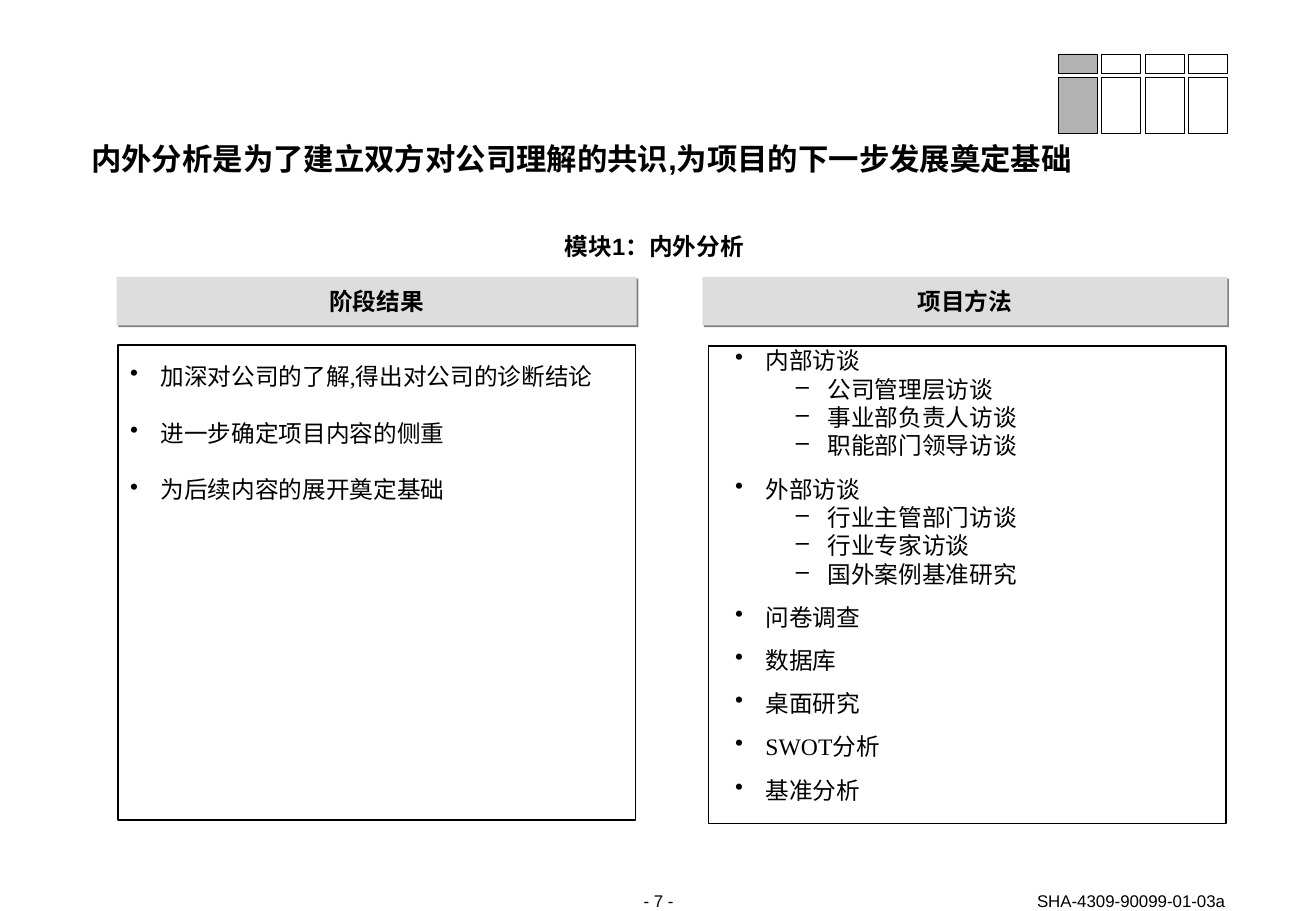
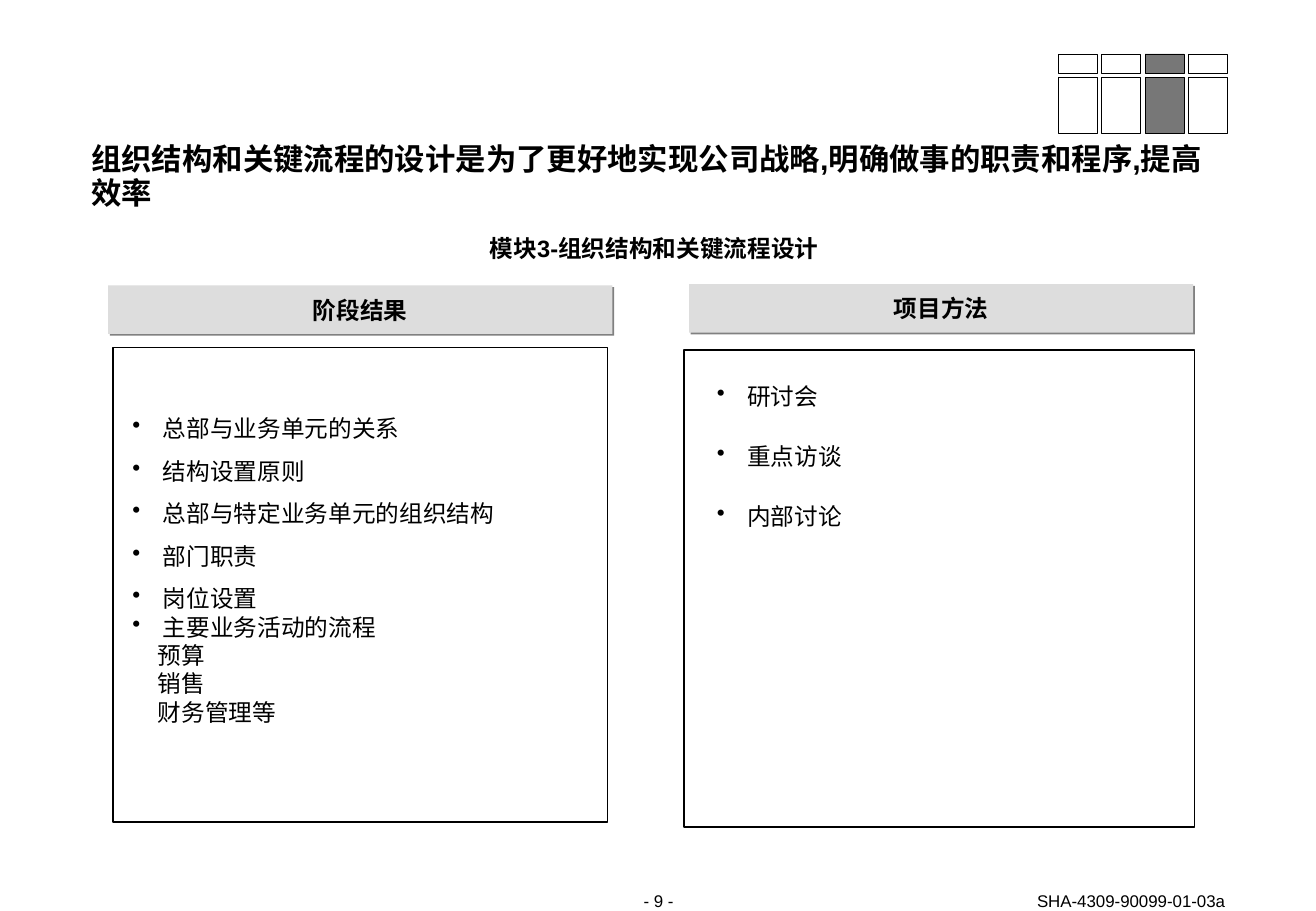
from dataclasses import dataclass

from lxml.etree import SubElement as Sub
from pptx import Presentation
from pptx.dml.color import RGBColor as Color
from pptx.enum.lang import MSO_LANGUAGE_ID as Lang
from pptx.enum.shapes import MSO_SHAPE as Shape
from pptx.enum.text import MSO_ANCHOR as Anchor, MSO_AUTO_SIZE as Fit, PP_ALIGN as Align
from pptx.oxml.ns import qn
from pptx.util import Inches, Pt

CELL = Inches(0.1)  # side of one grid cell
COLS, ROWS = 108.3, 75


@dataclass(frozen=True)
class Theme:
    ink: str = "000000"
    band: str = "DDDDDD"
    shade: str = "808080"
    sans: str = "Arial"
    serif: str = "Times New Roman"
    head: int = 18
    body: int = 14
    note: int = 10
    line: float = 16.8


@dataclass(frozen=True)
class Kind:
    mark: str
    level: int
    left: float
    hang: float
    apart: bool


MAIN = Kind("•", 0, 2.5, 2.5, True)
TIGHT = Kind("•", 0, 2.5, 2.5, False)
SUB = Kind("–", 1, 7.6, 2.6, False)
PLAIN = Kind("", 0, 2.1, 0, False)


def grid(*cells):
    return [round(n * CELL) for n in cells]


def apply(item, **values):
    for name, value in values.items():
        setattr(item, name, value)


class Deck:
    """Holds the style and the slide being drawn."""

    def __init__(self, theme):
        self.theme = theme
        self.show = Presentation()
        self.show.slide_width, self.show.slide_height = grid(COLS, ROWS)

    def start(self, text):
        self.slide = self.show.slides.add_slide(self.show.slide_layouts[5])
        title = self.slide.shapes.title
        left, top, width, height = grid(7.5, 11.75, 93.3, 6.7)
        apply(title, left=left, top=top, width=width, height=height)
        self.frame(title, Anchor.TOP)
        self.put(title, text, self.theme.head, bold=True, lead=20)

    def frame(self, shape, anchor):
        apply(shape.text_frame, word_wrap=True, auto_size=Fit.NONE, vertical_anchor=anchor,
              margin_left=0, margin_right=0, margin_top=0, margin_bottom=0)

    def style(self, par, text, size, face=None, bold=False):
        run = par.add_run()
        run.text = text
        apply(run.font, size=Pt(size), name=face or self.theme.sans, bold=bold,
              language_id=Lang.SIMPLIFIED_CHINESE)
        run.font.color.rgb = Color.from_string(self.theme.ink)

    def put(self, shape, text, size, align=Align.LEFT, bold=False, lead=None):
        par = shape.text_frame.paragraphs[0]
        apply(par, alignment=align, space_before=Pt(0), line_spacing=Pt(lead) if lead else None)
        self.style(par, text, size, bold=bold)

    def text(self, at, anchor=Anchor.TOP):
        box = self.slide.shapes.add_textbox(*grid(*at))
        self.frame(box, anchor)
        return box

    def rect(self, at, fill=None, line=None):
        box = self.slide.shapes.add_shape(Shape.RECTANGLE, *grid(*at))
        box.shadow.inherit = False
        if fill:
            box.fill.solid()
            box.fill.fore_color.rgb = Color.from_string(fill)
        else:
            box.fill.background()
        if line:
            box.line.color.rgb = Color.from_string(self.theme.ink)
            box.line.width = Pt(line)
        else:
            box.line.fill.background()
        return box

    def band(self, at, text):
        """Grey heading bar with a hard shadow at 45 degrees."""
        bar = self.rect(at, self.theme.band)
        glow = Sub(bar._element.spPr.find(qn("a:effectLst")), qn("a:outerShdw"),
                   blurRad="0", dist=str(Pt(1.4)), dir="2700000", algn="ctr", rotWithShape="0")
        Sub(glow, qn("a:srgbClr"), val=self.theme.shade)
        self.frame(bar, Anchor.MIDDLE)
        self.put(bar, text, self.theme.body, Align.CENTER, True)

    def points(self, at, rows, gap, face):
        """Rows are (kind, text) or (kind, text, face); gap parts the main points."""
        body = self.text(at).text_frame
        for i, (kind, text, *own) in enumerate(rows):
            par = body.add_paragraph() if i else body.paragraphs[0]
            props = par._p.get_or_add_pPr()
            left, hang = grid(kind.left, kind.hang)
            props.set("marL", str(left))
            props.set("indent", str(-hang))
            if kind.mark:
                Sub(props, qn("a:buChar"), char=kind.mark)
            else:
                Sub(props, qn("a:buNone"))
            apply(par, level=kind.level, alignment=Align.LEFT, line_spacing=Pt(self.theme.line),
                  space_before=Pt(gap if i and kind.apart else 0))
            self.style(par, text, self.theme.body, own[0] if own else face)

    def steps(self, step, fill):
        """Four-step progress map with one step filled."""
        for i in range(4):
            for top, high in ((4.45, 1.6), (6.4, 4.6)):
                self.rect((87.1 + 3.57 * i, top, 3.2, high), fill if i == step else None, 0.5)

    def label(self, top, text):
        self.put(self.text((7.2, top, 93.3, 2.2)), text, self.theme.body, Align.CENTER, True, 16)

    def foot(self, page):
        for at, text, align in (((48.5, 73.3, 11.4, 1.7), f"- {page} -", Align.CENTER),
                                ((76.4, 73.3, 24.4, 1.7), "SHA-4309-90099-01-03a", Align.RIGHT)):
            self.put(self.text(at, Anchor.BOTTOM), text, self.theme.note, align)


THEME = Theme()
PAGES = [
    dict(
        page=7, title="内外分析是为了建立双方对公司理解的共识,为项目的下一步发展奠定基础",
        label=(19.2, "模块1：内外分析"), steps=(0, "B2B2B2"),
        parts=[
            dict(band=(9.6, 22.8, 42.8, 4), panel=(9.7, 28.4, 42.6, 39.1),
                 points=(10.7, 29.8, 42.9, 16.3), gap=16.8, face=THEME.serif,
                 rows=[(MAIN, "加深对公司的了解,得出对公司的诊断结论"),
                       (MAIN, "进一步确定项目内容的侧重"),
                       (MAIN, "为后续内容的展开奠定基础")]),
            dict(band=(57.8, 22.8, 43.2, 4), panel=(58.3, 28.5, 42.6, 39.3),
                 points=(60.5, 28.5, 41.4, 37.7), gap=8.8, face=THEME.sans,
                 rows=[(MAIN, "内部访谈"), (SUB, "公司管理层访谈"),
                       (SUB, "事业部负责人访谈"), (SUB, "职能部门领导访谈"),
                       (MAIN, "外部访谈"), (SUB, "行业主管部门访谈"),
                       (SUB, "行业专家访谈"), (SUB, "国外案例基准研究"),
                       (MAIN, "问卷调查"), (MAIN, "数据库"), (MAIN, "桌面研究"),
                       (MAIN, "SWOT分析", THEME.serif), (MAIN, "基准分析")]),
        ]),
    dict(
        page=9, title="组织结构和关键流程的设计是为了更好地实现公司战略,明确做事的职责和程序,提高效率",
        label=(19.4, "模块3-组织结构和关键流程设计"), steps=(2, "777777"),
        parts=[
            dict(band=(8.9, 23.5, 41.5, 4), panel=(9.3, 28.6, 40.7, 39.1),
                 points=(10.9, 34.1, 39, 28), gap=8.4, face=THEME.serif,
                 rows=[(MAIN, "总部与业务单元的关系"), (MAIN, "结构设置原则"),
                       (MAIN, "总部与特定业务单元的组织结构"), (MAIN, "部门职责"),
                       (MAIN, "岗位设置"), (TIGHT, "主要业务活动的流程"),
                       (PLAIN, "预算"), (PLAIN, "销售"), (PLAIN, "财务管理等")]),
            dict(band=(56.7, 23.4, 41.5, 4), panel=(56.3, 28.8, 42, 39.3),
                 points=(59, 31.4, 35.1, 17.2), gap=18.9, face=THEME.sans,
                 rows=[(MAIN, "研讨会"), (MAIN, "重点访谈"), (MAIN, "内部讨论")]),
        ]),
]


def main():
    deck = Deck(THEME)
    for page in PAGES:
        deck.start(page["title"])
        deck.label(*page["label"])
        deck.steps(*page["steps"])
        for part, name in zip(page["parts"], ("阶段结果", "项目方法")):
            deck.band(part["band"], name)
            deck.rect(part["panel"], line=1)
            deck.points(part["points"], part["rows"], part["gap"], part["face"])
        deck.foot(page["page"])
    deck.show.save("out.pptx")


if __name__ == "__main__":
    main()
